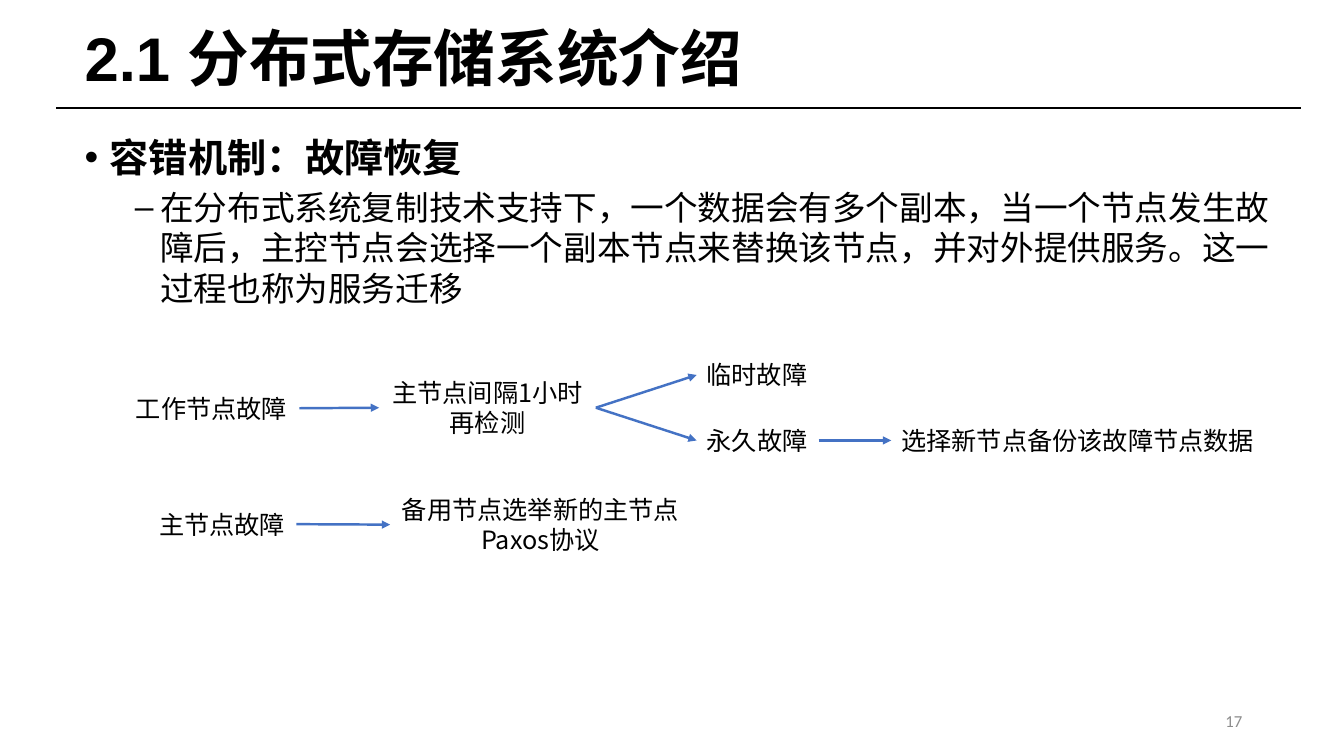
"""Builds the slide on fault recovery in distributed storage."""
from dataclasses import dataclass

from lxml import etree
from pptx import Presentation
from pptx import util as u
from pptx.dml import color
from pptx.enum import shapes, text
from pptx.oxml import ns

PX = 9144
BLACK, BLUE, GREY = "000000", "4472C4", "8C8C8C"
NOTO = "Noto Sans CJK SC"
LEFT, MID, RIGHT = text.PP_ALIGN.LEFT, text.PP_ALIGN.CENTER, text.PP_ALIGN.RIGHT


@dataclass
class Style:
    """Look of a paragraph."""
    size: int
    face: str = NOTO
    bold: bool = False
    tint: str = BLACK
    align: text.PP_ALIGN = LEFT


@dataclass
class Node:
    """A step of the flow."""
    key: str
    words: str
    x: int
    y: int
    w: int
    h: int = 40
    align: text.PP_ALIGN = LEFT
    wrap: bool = False


@dataclass
class Point:
    """A bulleted paragraph."""
    words: str
    mark: str
    level: int
    indent: int
    space: int
    style: Style


NODES = [
    Node("worker", "工作节点故障", 125, 385, 172),
    Node("check", "主节点间隔1小时\n再检测", 376, 369, 215, 71, MID, True),
    Node("brief", "临时故障", 691, 352, 120),
    Node("lasting", "永久故障", 691, 417, 121),
    Node("backup", "选择新节点备份该故障节点数据", 884, 417, 378),
    Node("master", "主节点故障", 148, 500, 146),
    Node("elect", "备用节点选举新的主节点\nPaxos协议", 387, 485, 298, 71, MID),
]
LINKS = [("worker", "check"), ("check", "brief"), ("check", "lasting"),
         ("lasting", "backup"), ("master", "elect")]
POINTS = [
    Point("容错机制：故障恢复", "•", 0, 25, 0, Style(28, "Calibri", True)),
    Point("在分布式系统复制技术支持下，一个数据会有多个副本，当一个节点发生故障后，"
          "主控节点会选择一个副本节点来替换该节点，并对外提供服务。这一过程也称为服务迁移",
          "–", 1, 75, 5, Style(24, "Calibri")),
]


def rgb(tint: str) -> color.RGBColor:
    """Turn a hex string into a colour."""
    return color.RGBColor.from_string(tint)


def format_para(para, style: Style) -> None:
    """Apply a style to a paragraph and its runs."""
    para.alignment = style.align
    for run in para.runs:
        font = run.font
        font.size, font.name, font.bold = u.Pt(style.size), style.face, style.bold
        font.color.rgb = rgb(style.tint)


def add_box(slide, x: int, y: int, w: int, h: int, words: str, style: Style,
            wrap: bool = True, anchor=text.MSO_ANCHOR.TOP):
    """Add a text box in one style."""
    box = slide.shapes.add_textbox(x * PX, y * PX, w * PX, h * PX)
    frame = box.text_frame
    frame.text, frame.word_wrap, frame.vertical_anchor = words, wrap, anchor
    for para in frame.paragraphs:
        format_para(para, style)
    return box


def add_point(para, point: Point) -> None:
    """Write a bulleted paragraph."""
    para.text, para.level = point.words, point.level
    para.space_before = u.Pt(point.space)
    props = para._p.get_or_add_pPr()
    props.set("marL", str(point.indent * PX))
    props.set("indent", str(-25 * PX))
    etree.SubElement(props, ns.qn("a:buFont")).set("typeface", "Arial")
    etree.SubElement(props, ns.qn("a:buChar")).set("char", point.mark)
    format_para(para, point.style)


def add_line(slide, tint: str, x: int = 0, y: int = 0, end: int = 0):
    """Add a level line without a shadow."""
    line = slide.shapes.add_connector(
        shapes.MSO_CONNECTOR.STRAIGHT, x * PX, y * PX, end * PX, y * PX)
    line.line.color.rgb, line.line.width = rgb(tint), u.Pt(1.75)
    etree.SubElement(line._element.spPr, ns.qn("a:effectLst"))
    return line


def add_arrow(slide, start, goal) -> None:
    """Join the right side of one box to the left side of another."""
    line = add_line(slide, BLUE)
    line.begin_connect(start, 3)
    line.end_connect(goal, 1)
    tip = etree.SubElement(line.line._get_or_add_ln(), ns.qn("a:tailEnd"))
    tip.set("type", "triangle")


def main() -> None:
    """Build and save the slide."""
    deck = Presentation()
    deck.slide_width, deck.slide_height = 1333 * PX, 750 * PX
    slide = deck.slides.add_slide(deck.slide_layouts[6])
    middle = text.MSO_ANCHOR.MIDDLE

    add_line(slide, BLACK, 56, 107, 1290)
    title = add_box(slide, 74, 15, 1195, 92, "2.1 分布式存储系统介绍",
                    Style(44, "Arial", True), anchor=middle)
    title.text_frame.paragraphs[0].line_spacing = 0.9

    body = slide.shapes.add_textbox(74 * PX, 127 * PX, 1195 * PX, 198 * PX)
    frame = body.text_frame
    frame.word_wrap = True
    for i, point in enumerate(POINTS):
        add_point(frame.add_paragraph() if i else frame.paragraphs[0], point)

    boxes = {n.key: add_box(slide, n.x, n.y, n.w, n.h, n.words,
                            Style(18, align=n.align), n.wrap) for n in NODES}
    for start, goal in LINKS:
        add_arrow(slide, boxes[start], boxes[goal])

    add_box(slide, 942, 695, 300, 40, "17",
            Style(12, "Calibri", tint=GREY, align=RIGHT), anchor=middle)
    deck.save("out.pptx")


if __name__ == "__main__":
    main()
